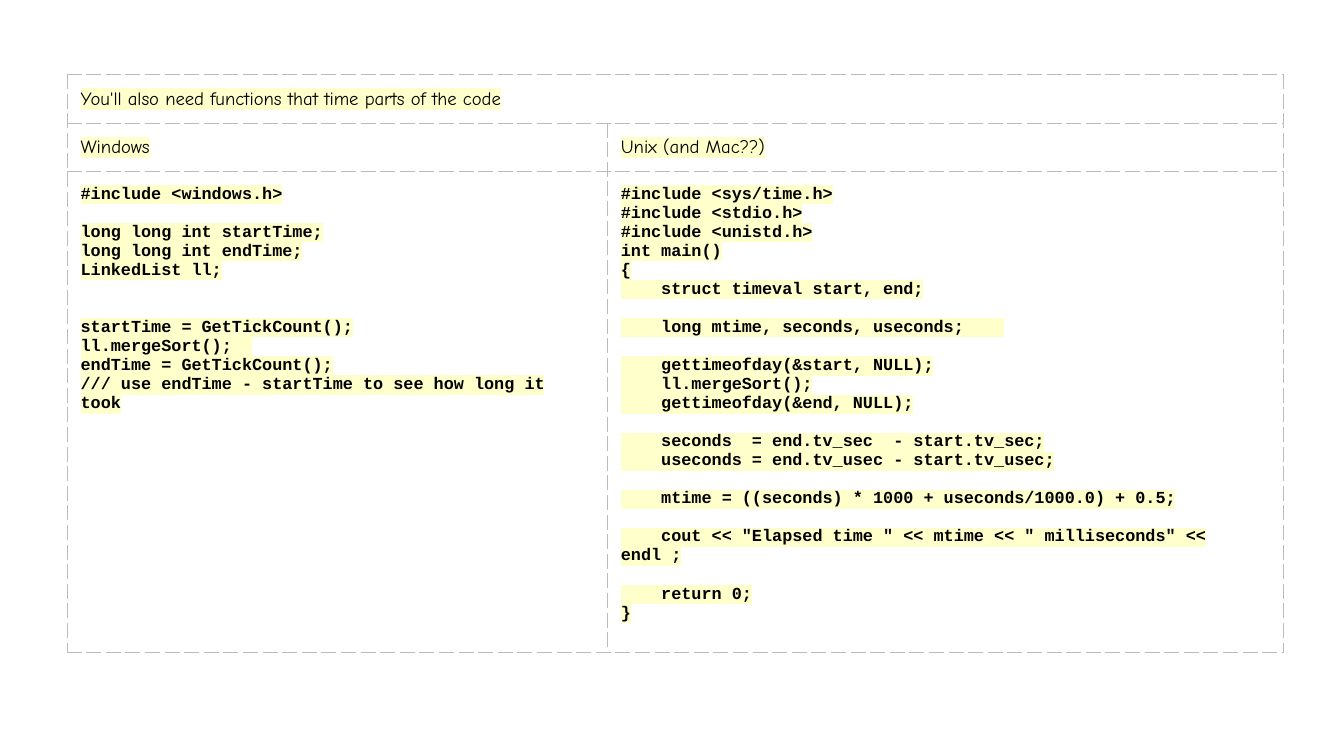
import pptx
import pptx.util
import pptx.dml.color
import pptx.oxml
import pptx.oxml.ns
from dataclasses import dataclass


@dataclass(frozen=True)
class Theme:
    ink: str = "000000"
    marker: str = "FFFFCC"
    rule: str = "BBBBBB"
    rule_width: float = 0.75
    prose_font: str = "Comic Neue"
    prose_size: float = 10
    code_font: str = "Courier New"
    code_size: float = 9
    code_line: float = 10.2
    inset: float = 0.1


WINDOWS_CODE = """#include <windows.h>

long long int startTime;
long long int endTime;
LinkedList ll;


startTime = GetTickCount();
ll.mergeSort();  
endTime = GetTickCount();
/// use endTime - startTime to see how long it took"""

UNIX_CODE = """#include <sys/time.h>
#include <stdio.h>
#include <unistd.h>
int main()
{
    struct timeval start, end;

    long mtime, seconds, useconds;    

    gettimeofday(&start, NULL);
    ll.mergeSort();
    gettimeofday(&end, NULL);

    seconds  = end.tv_sec  - start.tv_sec;
    useconds = end.tv_usec - start.tv_usec;

    mtime = ((seconds) * 1000 + useconds/1000.0) + 0.5;

    cout << "Elapsed time " << mtime << " milliseconds" << endl ;

    return 0;
}"""


class CodeSlide:
    def __init__(self, deck, theme):
        self.theme = theme
        self.page = deck.slides.add_slide(deck.slide_layouts[6])
        self.width, self.height = deck.slide_width, deck.slide_height

    def table(self, left, top, columns, rows):
        """Place a plain table; all lengths are percents of the slide."""
        widths = [round(share * self.width / 100) for share in columns]
        heights = [round(share * self.height / 100) for share in rows]
        frame = self.page.shapes.add_table(
            len(rows), len(columns), round(left * self.width / 100),
            round(top * self.height / 100), sum(widths), sum(heights))
        table = frame.table
        table.first_row = table.horz_banding = False
        for column, width in zip(table.columns, widths):
            column.width = width
        for row, height in zip(table.rows, heights):
            row.height = height
        for cell in table.iter_cells():
            self.cell_style(cell)
        return table

    def cell_style(self, cell):
        inset = pptx.util.Inches(self.theme.inset)
        cell.margin_left = cell.margin_right = inset
        cell.margin_top = cell.margin_bottom = inset
        cell.fill.background()
        # Borders stand before the fill
        width = pptx.util.Pt(self.theme.rule_width)
        for place, side in enumerate("LRTB"):
            border = pptx.oxml.parse_xml(
                f'<a:ln{side} {pptx.oxml.ns.nsdecls("a")} w="{width}">'
                f'<a:solidFill><a:srgbClr val="{self.theme.rule}"/></a:solidFill>'
                f'<a:prstDash val="dash"/></a:ln{side}>')
            cell._tc.tcPr.insert(place, border)

    def style(self, para, font, size, bold=False):
        para.font.name = font
        para.font.size = pptx.util.Pt(size)
        para.font.bold = bold
        para.font.color.rgb = pptx.dml.color.RGBColor.from_string(self.theme.ink)

    def marked(self, para, text):
        """Add one highlighted run."""
        span = para.add_run()
        span.text = text
        span.font._element.append(pptx.oxml.parse_xml(
            f'<a:highlight {pptx.oxml.ns.nsdecls("a")}>'
            f'<a:srgbClr val="{self.theme.marker}"/></a:highlight>'))

    def prose(self, cell, text):
        para = cell.text_frame.paragraphs[0]
        self.style(para, self.theme.prose_font, self.theme.prose_size)
        self.marked(para, text)

    def code_style(self, para):
        self.style(para, self.theme.code_font, self.theme.code_size, bold=True)

    def statements(self, cell, listing):
        """One paragraph per line; empty lines become space before the next."""
        para, gap = cell.text_frame.paragraphs[0], 0
        for number, line in enumerate(listing.split("\n")):
            if not line:
                gap += 1
                continue
            if number:
                para = cell.text_frame.add_paragraph()
            para.space_before = pptx.util.Pt(gap * self.theme.code_line)
            self.code_style(para)
            self.marked(para, line)
            gap = 0

    def program(self, cell, listing):
        """One paragraph with a line break after each line."""
        para = cell.text_frame.paragraphs[0]
        self.code_style(para)
        for number, line in enumerate(listing.split("\n")):
            if number:
                para.add_line_break()
                para._p[-1].append(pptx.oxml.parse_xml(
                    f'<a:rPr {pptx.oxml.ns.nsdecls("a")} b="1" '
                    f'sz="{self.theme.code_size * 100}">'
                    f'<a:latin typeface="{self.theme.code_font}"/></a:rPr>'))
            if line:
                self.marked(para, line)


# Deck, 16:9
deck = pptx.Presentation()
deck.slide_width = pptx.util.Inches(10)
deck.slide_height = deck.slide_width * 9 // 16
slide = CodeSlide(deck, Theme())

# Table: a title row, then one column per system
timing = slide.table(5, 9.9, [40.2, 50.3], [6.4, 6.35, 63.65])
timing.cell(0, 0).merge(timing.cell(0, 1))
slide.prose(timing.cell(0, 0),
            "You'll also need functions that time parts of the code")

# Headings and listings
for column, heading in enumerate(["Windows", "Unix (and Mac??)"]):
    slide.prose(timing.cell(1, column), heading)
slide.statements(timing.cell(2, 0), WINDOWS_CODE)
slide.program(timing.cell(2, 1), UNIX_CODE)

deck.save("out.pptx")
